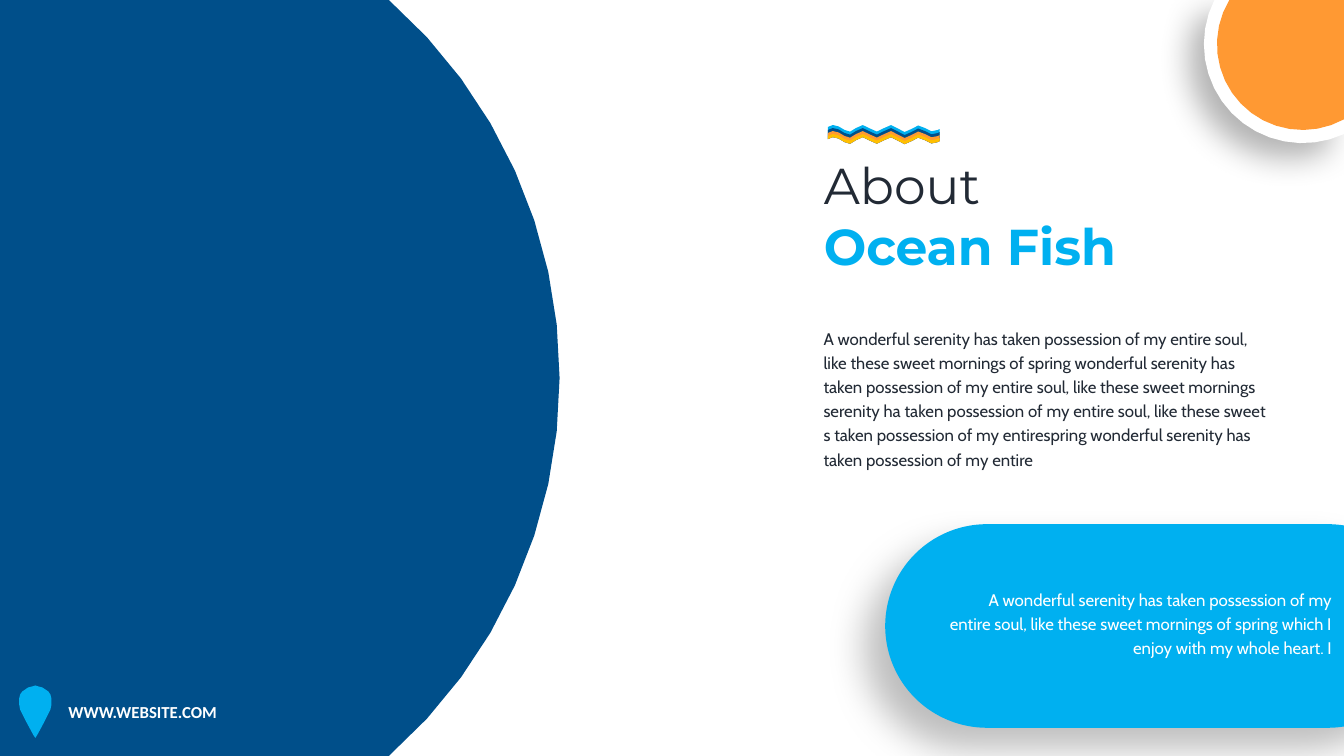
"""Build the "About Ocean Fish" slide."""
import math

from lxml import etree
from pptx import Presentation
from pptx.dml.color import RGBColor
from pptx.enum import shapes, text
from pptx.oxml.ns import qn
from pptx.util import Inches, Pt

COLORS = {"navy": "004F8A", "sky": "00B0F0", "orange": "FF9933",
          "gold": "FFC000", "white": "FFFFFF", "ink": "222A35"}
WIDTH, HEIGHT = 13.33, 7.5
ARC_STEPS, WAVE_STEPS = 16, 4


def paint(shape, color, shadow=None):
    """Fill a shape without outline and give it an optional soft shadow."""
    shape.shadow.inherit = False
    shape.fill.solid()
    shape.fill.fore_color.rgb = RGBColor.from_string(COLORS[color])
    shape.line.fill.background()
    if shadow:
        alpha, blur, distance = shadow
        effects = shape._element.spPr.find(qn("a:effectLst"))
        outer = etree.SubElement(effects, qn("a:outerShdw"), blurRad=str(Pt(blur)),
                                 dist=str(Pt(distance)), dir=str(135 * 60000),
                                 algn="tr", rotWithShape="0")
        black = etree.SubElement(outer, qn("a:srgbClr"), val="000000")
        etree.SubElement(black, qn("a:alpha"), val=str(alpha * 1000))


def outline(parent, points, color, shadow=None):
    """Draw a closed, filled outline through points given in inches."""
    corners = [(Inches(x), Inches(y)) for x, y in points]
    builder = parent.shapes.build_freeform(*corners[0], scale=1.0)
    builder.add_line_segments(corners[1:], close=True)
    paint(builder.convert_to_shape(), color, shadow)


deck = Presentation()
deck.slide_width, deck.slide_height = Inches(WIDTH), Inches(HEIGHT)
page = deck.slides.add_slide(deck.slide_layouts[5])

sun = page.shapes.add_group_shape()
left_corners, right_corner = [(0, HEIGHT), (0, 0)], [(WIDTH, 0)]
discs = [(page, 0.55, 3.75, 5, -48.6, 48.6, left_corners, "navy", None),
         (sun, 12.92, 0.44, 0.98, 65.3, 206.7, right_corner, "white", (29, 23, 15)),
         (sun, 12.92, 0.44, 0.85, 61.2, 211.2, right_corner, "orange", None)]
for parent, center_x, center_y, radius, start, end, corners, color, shadow in discs:
    angles = [math.radians(start + (end - start) * step / ARC_STEPS)
              for step in range(ARC_STEPS + 1)]
    rim = [(min(center_x + radius * math.cos(angle), WIDTH),
            min(max(center_y + radius * math.sin(angle), 0), HEIGHT))
           for angle in angles]
    outline(parent, rim + corners, color, shadow)

pin_middle = 0.35
pin_side = [(0, 6.8), (0.03, 6.81), (0.07, 6.82), (0.1, 6.84), (0.13, 6.86),
            (0.15, 6.89), (0.16, 6.93), (0.16, 6.99), (0.15, 7.04), (0.12, 7.1),
            (0.09, 7.16), (0.02, 7.29), (0, 7.32)]
outline(page, [(pin_middle + dx, y) for dx, y in pin_side]
        + [(pin_middle - dx, y) for dx, y in reversed(pin_side[1:-1])], "sky")

wave_curves = [
    ((8.26, 1.24), (8.34, 1.23), (8.41, 1.37), (8.49, 1.27)),
    ((8.49, 1.27), (8.58, 1.16), (8.67, 1.39), (8.77, 1.27)),
    ((8.77, 1.27), (8.86, 1.16), (8.95, 1.39), (9.04, 1.28)),
    ((9.04, 1.28), (9.13, 1.17), (9.22, 1.36), (9.3, 1.29)),
]
crest = [(8.21, 1.26), wave_curves[0][0]]
for curve in wave_curves:
    for step in range(1, WAVE_STEPS + 1):
        t = step / WAVE_STEPS
        weights = ((1 - t) ** 3, 3 * t * (1 - t) ** 2, 3 * t ** 2 * (1 - t), t ** 3)
        crest.append(tuple(sum(weight * point[axis] for weight, point in zip(weights, curve))
                           for axis in (0, 1)))
crest.append((9.32, 1.28))
waves = page.shapes.add_group_shape()
for index, color in enumerate(("sky", "navy", "orange", "gold")):
    top = [(x, y + 0.03 * index) for x, y in crest]
    bottom = [(x, y + 0.12) for x, y in reversed(crest)]
    outline(waves, top + bottom, color)

pill = page.shapes.add_shape(shapes.MSO_SHAPE.ROUNDED_RECTANGLE,
                             Inches(8.78), Inches(5.2), Inches(5.4), Inches(2.02))
pill.adjustments[0] = 0.5
paint(pill, "sky", (26, 27, 21))

title = page.shapes.title
title.left, title.top = Inches(8.07), Inches(1.48)
title.width, title.height = Inches(3.77), Inches(1.31)
title.text_frame.text = "About\nOcean Fish"
title.text_frame.word_wrap = True
title.text_frame.auto_size = text.MSO_AUTO_SIZE.SHAPE_TO_FIT_TEXT
title.text_frame.vertical_anchor = text.MSO_ANCHOR.TOP
for para, color, bold in zip(title.text_frame.paragraphs, ("ink", "sky"), (False, True)):
    para.alignment = text.PP_ALIGN.LEFT
    span = para.runs[0]
    span.font.name, span.font.size, span.font.bold = "Montserrat", Pt(36), bold
    span.font.color.rgb = RGBColor.from_string(COLORS[color])

left, right = text.PP_ALIGN.LEFT, text.PP_ALIGN.RIGHT
passages = [
    ("WWW.WEBSITE.COM", (0.58, 6.91, 2.53, 0.3), "Calibri", "white", True, left, 1.0),
    ("A wonderful serenity has taken possession of my entire soul, like these sweet "
     "mornings of spring which I enjoy with my whole heart. I",
     (9.32, 5.76, 3.99, 0.81), "Cabin", "white", False, right, 1.2),
    ("A wonderful serenity has taken possession of my entire soul, like these sweet "
     "mornings of spring wonderful serenity has taken possession of my entire soul, "
     "like these sweet mornings serenity ha taken possession of my entire soul, like "
     "these sweet s taken possession of my entirespring wonderful serenity has taken "
     "possession of my entire",
     (8.07, 3.17, 4.67, 1.53), "Cabin", "ink", False, left, 1.2),
]
for wording, place, font, color, bold, alignment, spacing in passages:
    box = page.shapes.add_textbox(*map(Inches, place))
    box.text_frame.word_wrap = True
    box.text_frame.auto_size = text.MSO_AUTO_SIZE.SHAPE_TO_FIT_TEXT
    para = box.text_frame.paragraphs[0]
    para.text = wording
    para.alignment, para.line_spacing = alignment, spacing
    span = para.runs[0]
    span.font.name, span.font.size, span.font.bold = font, Pt(12), bold
    span.font.color.rgb = RGBColor.from_string(COLORS[color])

deck.save("out.pptx")
